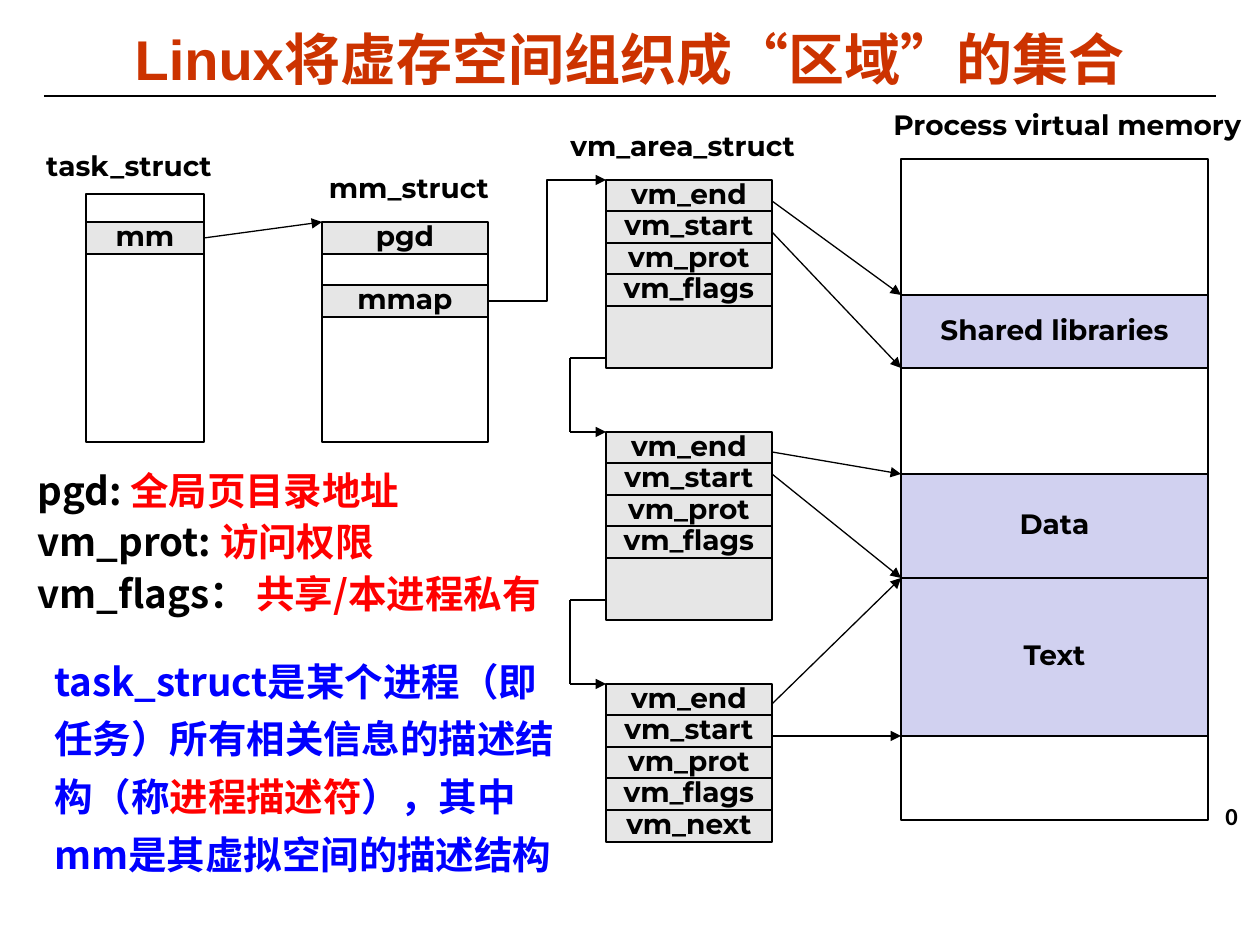
from dataclasses import dataclass

from lxml import etree
from pptx import Presentation
from pptx.dml.color import RGBColor
from pptx.enum.shapes import MSO_CONNECTOR, MSO_SHAPE
from pptx.enum.text import MSO_ANCHOR, PP_ALIGN
from pptx.oxml.ns import qn
from pptx.util import Emu, Pt

STRAIGHT, ELBOW = MSO_CONNECTOR.STRAIGHT, MSO_CONNECTOR.ELBOW
RECTANGLE = MSO_SHAPE.RECTANGLE
TOP, MIDDLE = MSO_ANCHOR.TOP, MSO_ANCHOR.MIDDLE
LEFT, CENTER = PP_ALIGN.LEFT, PP_ALIGN.CENTER
PX = 914400 / 126


@dataclass(frozen=True)
class Theme:
    title: str = "CC3300"
    ink: str = "000000"
    paper: str = "FFFFFF"
    field: str = "E6E6E6"
    region: str = "D1D1F0"
    key: str = "FF0000"
    note: str = "0000FF"
    title_font: str = "Arial"
    label_font: str = "Montserrat"
    zero_font: str = "Calibri"
    note_font: str = "Noto Sans CJK SC"
    title_size: int = 32
    note_size: int = 22
    label_size: int = 16
    zero_size: int = 14
    line_width: float = 0.75


THEME = Theme()
VM_LEFT, VM_WIDTH = 606, 166
VM_TOPS = (180, 432, 684)
VM_FIELDS = ("vm_end", "vm_start", "vm_prot", "vm_flags")
MEMORY_LEFT, MEMORY_WIDTH = 901, 307
REGIONS = (("Shared libraries", 295, 73), ("Data", 474, 104), ("Text", 578, 158))
REGION_ARROWS = ((201, 295), (232, 368), (452, 474),
                 (474, 578), (704, 578), (736, 736))
DEFINITIONS = (("pgd: ", "全局页目录地址"),
               ("vm_prot: ", "访问权限"),
               ("vm_flags： ", "共享/本进程私有"))


def px(*lengths):
    return [Emu(round(length * PX)) for length in lengths]


def set_font(paragraph, name, size, color=THEME.ink):
    font = paragraph.font
    font.name, font.size, font.bold = name, Pt(size), True
    font.color.rgb = RGBColor.from_string(color)
    east_asian = etree.Element(qn("a:ea"), typeface=THEME.note_font)
    paragraph._p.pPr.find(qn("a:defRPr")).find(qn("a:latin")).addnext(east_asian)


def add_runs(paragraph, *runs):
    for text, color in runs:
        run = paragraph.add_run()
        run.text = text
        run.font.color.rgb = RGBColor.from_string(color)


def write_label(shape, text, font=THEME.label_font, size=THEME.label_size,
                align=CENTER, anchor=MIDDLE):
    frame = shape.text_frame
    frame.word_wrap = False
    frame.vertical_anchor = anchor
    paragraph = frame.paragraphs[0]
    paragraph.text = text
    paragraph.alignment = align
    paragraph.line_spacing = 0.88
    set_font(paragraph, font, size)


def add_box(slide, left, top, width, height, fill, text=""):
    shape = slide.shapes.add_shape(RECTANGLE, *px(left, top, width, height))
    shape.shadow.inherit = False
    shape.fill.solid()
    shape.fill.fore_color.rgb = RGBColor.from_string(fill)
    shape.line.color.rgb = RGBColor.from_string(THEME.ink)
    shape.line.width = Pt(THEME.line_width)
    if text:
        write_label(shape, text)


def add_field(slide, left, top, width, text):
    add_box(slide, left, top, width, 32, THEME.field, text)


def add_text(slide, left, top, width, height):
    return slide.shapes.add_textbox(*px(left, top, width, height))


def add_line(slide, start, end, arrow=False, kind=STRAIGHT):
    connector = slide.shapes.add_connector(kind, *px(*start, *end))
    connector.line.color.rgb = RGBColor.from_string(THEME.ink)
    connector.line.width = Pt(THEME.line_width)
    if arrow:
        etree.SubElement(connector.line._get_or_add_ln(), qn("a:tailEnd"),
                         type="triangle")
    etree.SubElement(connector._element.spPr, qn("a:effectLst"))


def add_title(slide):
    title = slide.shapes.title
    title.left, title.top, title.width, title.height = px(25, 23, 1210, 71)
    title.text_frame.vertical_anchor = MIDDLE
    paragraph = title.text_frame.paragraphs[0]
    paragraph.text = "Linux将虚存空间组织成“区域”的集合"
    paragraph.alignment = CENTER
    set_font(paragraph, THEME.title_font, THEME.title_size, THEME.title)
    add_line(slide, (44, 96), (1216, 96))


def add_labels(slide):
    for text, left, top, width, align in (
            ("task_struct", 30, 147, 198, CENTER),
            ("mm_struct", 316, 169, 186, CENTER),
            ("vm_area_struct", 558, 127, 258, LEFT),
            ("Process virtual memory", 881, 106, 381, LEFT)):
        write_label(add_text(slide, left, top, width, 42), text,
                    align=align, anchor=TOP)
    write_label(add_text(slide, 1213, 799, 38, 38), "0", THEME.zero_font,
                THEME.zero_size, LEFT, TOP)


def add_task_and_mm(slide):
    add_box(slide, 86, 194, 118, 248, THEME.paper)
    add_field(slide, 86, 222, 118, "mm")
    add_box(slide, 322, 225, 166, 217, THEME.paper)
    add_field(slide, 322, 222, 166, "pgd")
    add_field(slide, 322, 285, 166, "mmap")
    add_line(slide, (204, 238), (322, 222), arrow=True)
    add_line(slide, (488, 301), (VM_LEFT, VM_TOPS[0]), arrow=True, kind=ELBOW)


def add_vm_areas(slide):
    for top in VM_TOPS:
        last = top == VM_TOPS[-1]
        add_box(slide, VM_LEFT, top + 3, VM_WIDTH, 154 if last else 185, THEME.field)
        fields = VM_FIELDS + ("vm_next",) if last else VM_FIELDS
        for index, name in enumerate(fields):
            add_field(slide, VM_LEFT, top + index * 63 // 2, VM_WIDTH, name)
    for start, end in zip((358, 600), VM_TOPS[1:]):
        add_line(slide, (VM_LEFT, start), (570, start))
        add_line(slide, (570, start), (570, end))
        add_line(slide, (570, end), (VM_LEFT, end), arrow=True)


def add_memory(slide):
    add_box(slide, MEMORY_LEFT, 159, MEMORY_WIDTH, 661, THEME.paper)
    for name, top, height in REGIONS:
        add_box(slide, MEMORY_LEFT, top, MEMORY_WIDTH, height, THEME.region, name)
    for start, end in REGION_ARROWS:
        add_line(slide, (VM_LEFT + VM_WIDTH, start), (MEMORY_LEFT, end), arrow=True)


def add_definitions(slide):
    frame = add_text(slide, 25, 466, 547, 163).text_frame
    frame.word_wrap = True
    for index, (term, meaning) in enumerate(DEFINITIONS):
        paragraph = frame.add_paragraph() if index else frame.paragraphs[0]
        properties = paragraph._p.get_or_add_pPr()
        hanging = px(48)[0]
        properties.set("marL", str(hanging))
        properties.set("indent", str(-hanging))
        paragraph.line_spacing = 0.9
        if index:
            paragraph.space_before = Pt(5.6)
        set_font(paragraph, THEME.note_font, THEME.note_size)
        add_runs(paragraph, (term, THEME.ink), (meaning, THEME.key))


def add_explanation(slide):
    frame = add_text(slide, 42, 640, 537, 243).text_frame
    frame.word_wrap = True
    paragraph = frame.paragraphs[0]
    paragraph.line_spacing = 1.25
    set_font(paragraph, THEME.note_font, THEME.note_size, THEME.note)
    add_runs(paragraph,
             ("task_struct是某个进程（即任务）所有相关信息的描述结构（称", THEME.note),
             ("进程描述符", THEME.key),
             ("），其中mm是其虚拟空间的描述结构", THEME.note))


def main():
    presentation = Presentation()
    presentation.slide_width, presentation.slide_height = px(1260, 945)
    slide = presentation.slides.add_slide(presentation.slide_layouts[5])
    add_title(slide)
    add_labels(slide)
    add_task_and_mm(slide)
    add_vm_areas(slide)
    add_memory(slide)
    add_definitions(slide)
    add_explanation(slide)
    presentation.save("out.pptx")


if __name__ == "__main__":
    main()
